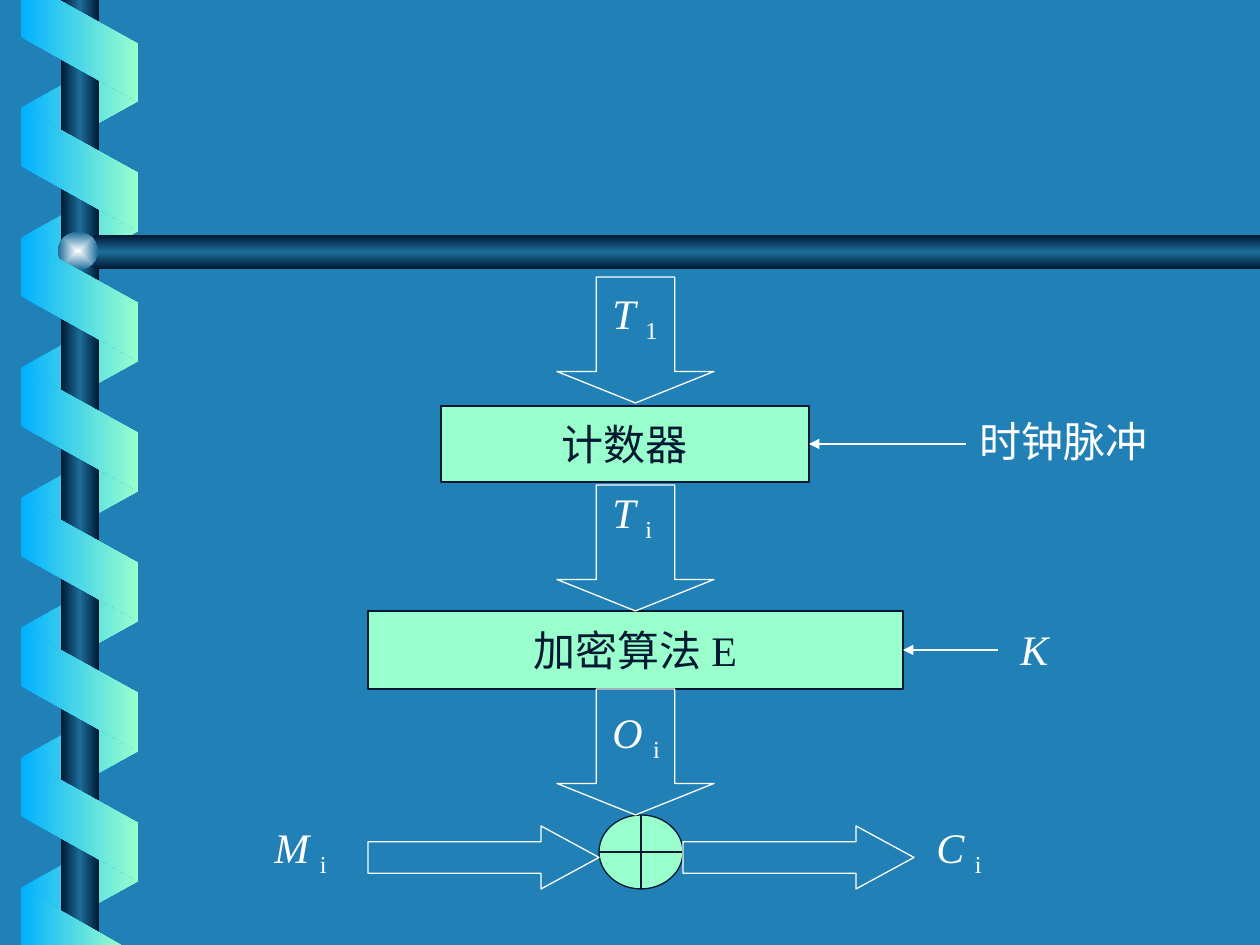
from dataclasses import dataclass

from pptx import Presentation
from pptx.dml.color import RGBColor
from pptx.enum.shapes import MSO_CONNECTOR, MSO_SHAPE
from pptx.enum.text import MSO_ANCHOR, MSO_AUTO_SIZE, PP_ALIGN
from pptx.oxml import parse_xml
from pptx.oxml.ns import nsdecls, qn
from pptx.util import Emu, Pt

SCALE = 914400 / 126  # EMU per px
WIDTH, HEIGHT = 1260, 945


@dataclass(frozen=True)
class Theme:
    back: str = "2181B7"
    mint: str = "99FFCC"
    sky: str = "01B0FF"
    navy: str = "001932"
    steel: str = "1C6D9A"
    glow: str = "FEFFFF"
    white: str = "FFFFFF"
    font: str = "Times New Roman"
    size: int = 24
    line: float = 0.75


THEME = Theme()
ROD = (THEME.navy, THEME.steel, THEME.navy)
RIBBON = (THEME.sky, THEME.mint)


def px(*values):
    return [Emu(round(v * SCALE)) for v in values]


def rgb(value):
    return RGBColor.from_string(value)


def set_gradient(sp, colors, angle=None):
    """Spread colors evenly along angle, or outwards from the centre."""
    last = len(colors) - 1
    stops = "".join(
        f'<a:gs pos="{100000 * i // last}"><a:srgbClr val="{c}"/></a:gs>'
        for i, c in enumerate(colors))
    if angle is None:
        way = ('<a:path path="rect"><a:fillToRect l="50000" t="50000" '
               'r="50000" b="50000"/></a:path>')
    else:
        way = f'<a:lin ang="{angle * 60000}" scaled="0"/>'
    sp.fill.gradient()
    old = sp.element.spPr.find(qn("a:gradFill"))
    old.getparent().replace(old, parse_xml(
        f'<a:gradFill {nsdecls("a")}><a:gsLst>{stops}</a:gsLst>{way}</a:gradFill>'))
    sp.line.fill.background()
    sp.shadow.inherit = False


def add_outline(s, points, colors, angle):
    builder = s.shapes.build_freeform(*points[0], scale=SCALE)
    builder.add_line_segments(points[1:], close=True)
    set_gradient(builder.convert_to_shape(), colors, angle)


def add_ribbon(s, left_y, right_y):
    """Slanted band, 58 px high, wound around the upright rod."""
    band = 58
    add_outline(s, [(21, left_y), (138, right_y), (138, right_y + band),
                    (21, left_y + band)], RIBBON, 0)


def add_spiral_and_rods(s):
    step, rise = 130, 65
    # Ribbons behind the rod
    for i in range(7):
        top = 43 + i * step
        add_ribbon(s, top + rise, top)
    # Upright rod, crossbar and ball
    rod = s.shapes.add_shape(MSO_SHAPE.RECTANGLE, *px(61, 0, 38, HEIGHT))
    set_gradient(rod, ROD, 0)
    add_outline(s, [(WIDTH, 235), (96, 235), (76, 252), (96, 269), (WIDTH, 269)],
                ROD, 90)
    ball = s.shapes.add_shape(MSO_SHAPE.OVAL, *px(58, 232, 40, 38))
    set_gradient(ball, (THEME.glow, THEME.steel))
    # Ribbons in front, cut off at the top and bottom edges
    for i in range(6):
        top = 108 + i * step
        add_ribbon(s, top, top + rise)
    add_outline(s, [(21, 0), (21, 37), (138, 102), (138, 44), (59, 0)], RIBBON, 0)
    add_outline(s, [(21, 888), (121, HEIGHT), (21, HEIGHT)], RIBBON, 0)


def format_run(r, color, italic=False):
    r.font.name = THEME.font
    r.font.size = Pt(THEME.size)
    r.font.color.rgb = rgb(color)
    r.font.italic = italic


def add_figure(s, kind, box, line, fill=None):
    sp = s.shapes.add_shape(kind, *px(*box))
    sp.shadow.inherit = False
    if fill:
        sp.fill.solid()
        sp.fill.fore_color.rgb = rgb(fill)
    else:
        sp.fill.background()
    sp.line.color.rgb = rgb(line)
    sp.line.width = Pt(THEME.line)
    return sp


def add_block(s, box, text):
    sp = add_figure(s, MSO_SHAPE.RECTANGLE, box, THEME.navy, THEME.mint)
    tf = sp.text_frame
    tf.text = text
    tf.word_wrap = False
    tf.vertical_anchor = MSO_ANCHOR.MIDDLE
    p = tf.paragraphs[0]
    p.alignment = PP_ALIGN.CENTER
    format_run(p.runs[0], THEME.navy)
    return sp


def add_block_arrow(s, kind, box, head):
    sp = add_figure(s, kind, box, THEME.white)
    sp.adjustments[0] = 0.5
    sp.adjustments[1] = head


def add_label(s, box, text, sub="", italic=True):
    tf = s.shapes.add_textbox(*px(*box)).text_frame
    tf.word_wrap = True
    tf.auto_size = MSO_AUTO_SIZE.SHAPE_TO_FIT_TEXT
    p = tf.paragraphs[0]
    r = p.add_run()
    r.text = text
    format_run(r, THEME.white, italic)
    if sub:
        r = p.add_run()
        r.text = sub
        format_run(r, THEME.white)
        r.font._element.set("baseline", "-25000")


def add_input_line(s, x, block):
    """Arrow from x to the middle of the block's right side."""
    y = block.top + block.height // 2
    line = s.shapes.add_connector(MSO_CONNECTOR.STRAIGHT, px(x)[0], y,
                                  block.left + block.width, y)
    line.end_connect(block, 3)
    line.line.color.rgb = rgb(THEME.white)
    line.line.width = Pt(THEME.line)
    line.line._get_or_add_ln().append(
        parse_xml(f'<a:tailEnd {nsdecls("a")} type="triangle"/>'))
    line._element.spPr.append(parse_xml(f'<a:effectLst {nsdecls("a")}/>'))


def main():
    prs = Presentation()
    prs.slide_width, prs.slide_height = px(WIDTH, HEIGHT)
    s = prs.slides.add_slide(prs.slide_layouts[6])
    s.background.fill.solid()
    s.background.fill.fore_color.rgb = rgb(THEME.back)
    add_spiral_and_rods(s)

    # Counter, cipher and XOR
    counter = add_block(s, (441, 406, 368, 76), "计数器")
    cipher = add_block(s, (368, 611, 535, 78), "加密算法 E")
    add_figure(s, MSO_SHAPE.FLOWCHART_OR, (599, 815, 84, 74),
               THEME.navy, THEME.mint)

    # Block arrows
    for y in (277, 485, 689):
        add_block_arrow(s, MSO_SHAPE.DOWN_ARROW, (557, y, 157, 126), 0.25)
    for x in (368, 683):
        add_block_arrow(s, MSO_SHAPE.RIGHT_ARROW, (x, 826, 231, 63), 0.92)

    # Signals with a subscript
    for x, y, name, sub in ((262, 815, "M ", "i"), (924, 815, "C ", "i"),
                            (600, 281, "T ", "1"), (600, 480, "T ", "i"),
                            (600, 700, "O ", "i")):
        add_label(s, (x, y, 158, 70), name, sub)

    # Side inputs
    add_input_line(s, 966, counter)
    add_label(s, (967, 409, 221, 63), "时钟脉冲", italic=False)
    add_input_line(s, 998, cipher)
    add_label(s, (1008, 617, 158, 63), "K")

    prs.save("out.pptx")


if __name__ == "__main__":
    main()
